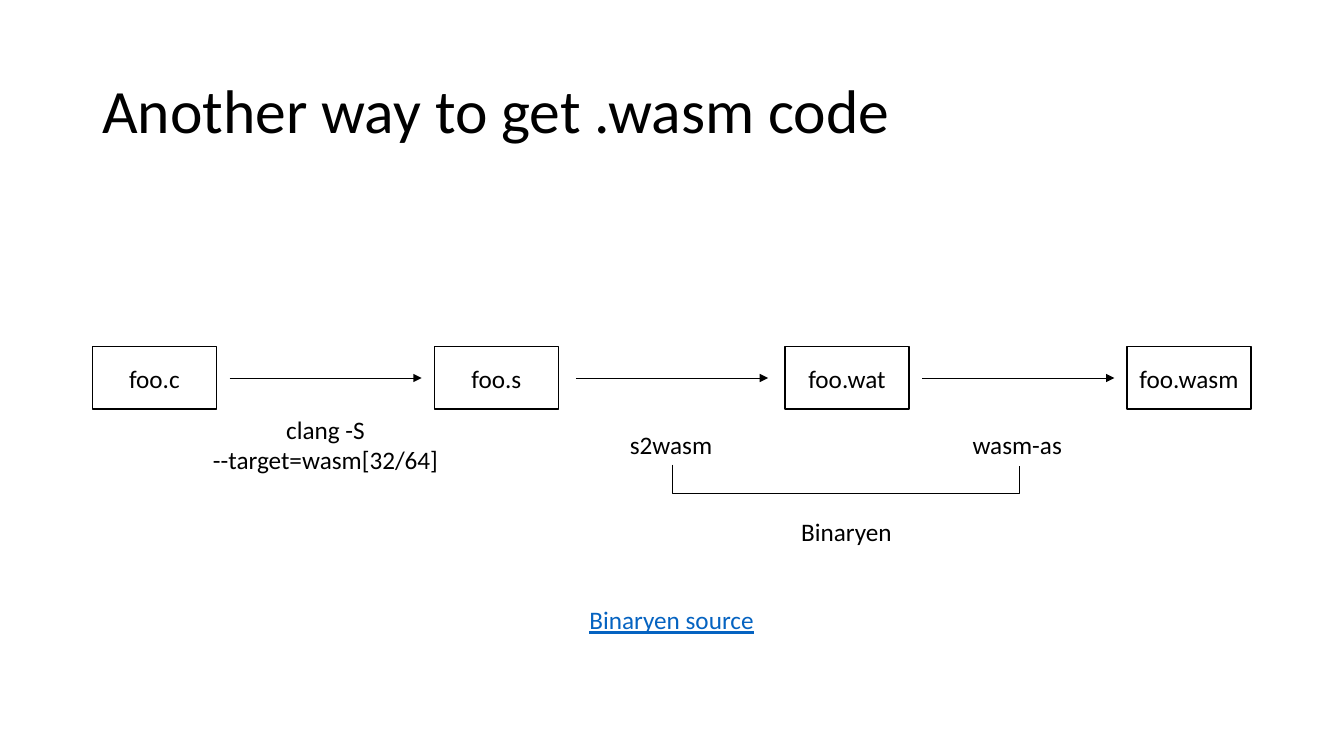
from dataclasses import dataclass

from lxml.etree import SubElement
from pptx import Presentation
from pptx.dml.color import RGBColor
from pptx.enum.shapes import MSO_CONNECTOR, MSO_SHAPE
from pptx.enum.text import MSO_ANCHOR, PP_ALIGN
from pptx.oxml.ns import qn
from pptx.util import Pt


@dataclass(frozen=True)
class Theme:
    font: str = "Calibri"
    ink: RGBColor = RGBColor(0x00, 0x00, 0x00)
    link: RGBColor = RGBColor(0x05, 0x63, 0xC1)
    title_size: float = 44
    body_size: float = 18
    box_line: float = 1
    thin_line: float = 0.5


THEME = Theme()
BOX_TOP, BOX_WIDTH, BOX_HEIGHT = 247.7, 88.6, 44.6
ARROW_LENGTH = 137.2
LABEL_HEIGHT = 29.1

FILES = [("foo.c", 66), ("foo.s", 310.3), ("foo.wat", 560.7), ("foo.wasm", 805)]
ARROW_STARTS = [164, 411.4, 658.8]
LABELS = [
    ("s2wasm", 442.8, 303.1, 74.2),
    ("wasm-as", 687.6, 303.1, 79.2),
    ("Binaryen", 565.2, 365, 79.9),
]


def write_text(frame, text, size=THEME.body_size, color=THEME.ink,
               align=PP_ALIGN.LEFT, anchor=MSO_ANCHOR.TOP, wrap=False,
               underline=False, line_spacing=1.0):
    frame.word_wrap = wrap
    frame.vertical_anchor = anchor
    for index, line in enumerate(text.split("\n")):
        para = frame.paragraphs[0] if index == 0 else frame.add_paragraph()
        para.alignment = align
        para.line_spacing = line_spacing
        span = para.add_run()
        span.text = line
        span.font.name = THEME.font
        span.font.size = Pt(size)
        span.font.color.rgb = color
        span.font.underline = underline


def set_line(line, width):
    line.color.rgb = THEME.ink
    line.width = Pt(width)


def add_label(page, text, left, top, width, height=LABEL_HEIGHT, **text_format):
    box = page.shapes.add_textbox(Pt(left), Pt(top), Pt(width), Pt(height))
    write_text(box.text_frame, text, **text_format)


def add_file_box(page, name, left):
    box = page.shapes.add_shape(MSO_SHAPE.RECTANGLE, Pt(left), Pt(BOX_TOP),
                                Pt(BOX_WIDTH), Pt(BOX_HEIGHT))
    box.shadow.inherit = False
    box.fill.background()
    set_line(box.line, THEME.box_line)
    write_text(box.text_frame, name, align=PP_ALIGN.CENTER,
               anchor=MSO_ANCHOR.MIDDLE, wrap=True)


def add_arrow(page, left):
    middle = Pt(BOX_TOP + BOX_HEIGHT / 2)
    arrow = page.shapes.add_connector(MSO_CONNECTOR.STRAIGHT, Pt(left), middle,
                                      Pt(left + ARROW_LENGTH), middle)
    set_line(arrow.line, THEME.thin_line)
    SubElement(arrow.line._get_or_add_ln(), qn("a:tailEnd"), type="triangle")
    SubElement(arrow._element.spPr, qn("a:effectLst"))


def add_bracket(page, left, right, left_top, right_top, bottom):
    builder = page.shapes.build_freeform(Pt(left), Pt(left_top))
    corners = [(left, bottom), (right, bottom), (right, right_top)]
    builder.add_line_segments([(Pt(x), Pt(y)) for x, y in corners], close=False)
    bracket = builder.convert_to_shape()
    bracket.shadow.inherit = False
    bracket.fill.background()
    set_line(bracket.line, THEME.thin_line)


def main():
    deck = Presentation()
    deck.slide_width, deck.slide_height = Pt(960), Pt(540)
    page = deck.slides.add_slide(deck.slide_layouts[6])

    add_label(page, "Another way to get .wasm code", 66, 28.8, 828, 104.4,
              size=THEME.title_size, anchor=MSO_ANCHOR.MIDDLE, wrap=True,
              line_spacing=0.9)
    for name, left in FILES:
        add_file_box(page, name, left)
    for left in ARROW_STARTS:
        add_arrow(page, left)

    add_label(page, "clang -S\n--target=wasm[32/64]", 144, 292.3, 177.1, 50.9,
              align=PP_ALIGN.CENTER)
    for text, left, top, width in LABELS:
        add_label(page, text, left, top, width)
    add_bracket(page, 480.2, 728, 331.9, 332.6, 352.1)
    add_label(page, "Binaryen source", 414, 428.4, 131.8,
              color=THEME.link, underline=True)

    deck.save("out.pptx")


if __name__ == "__main__":
    main()
